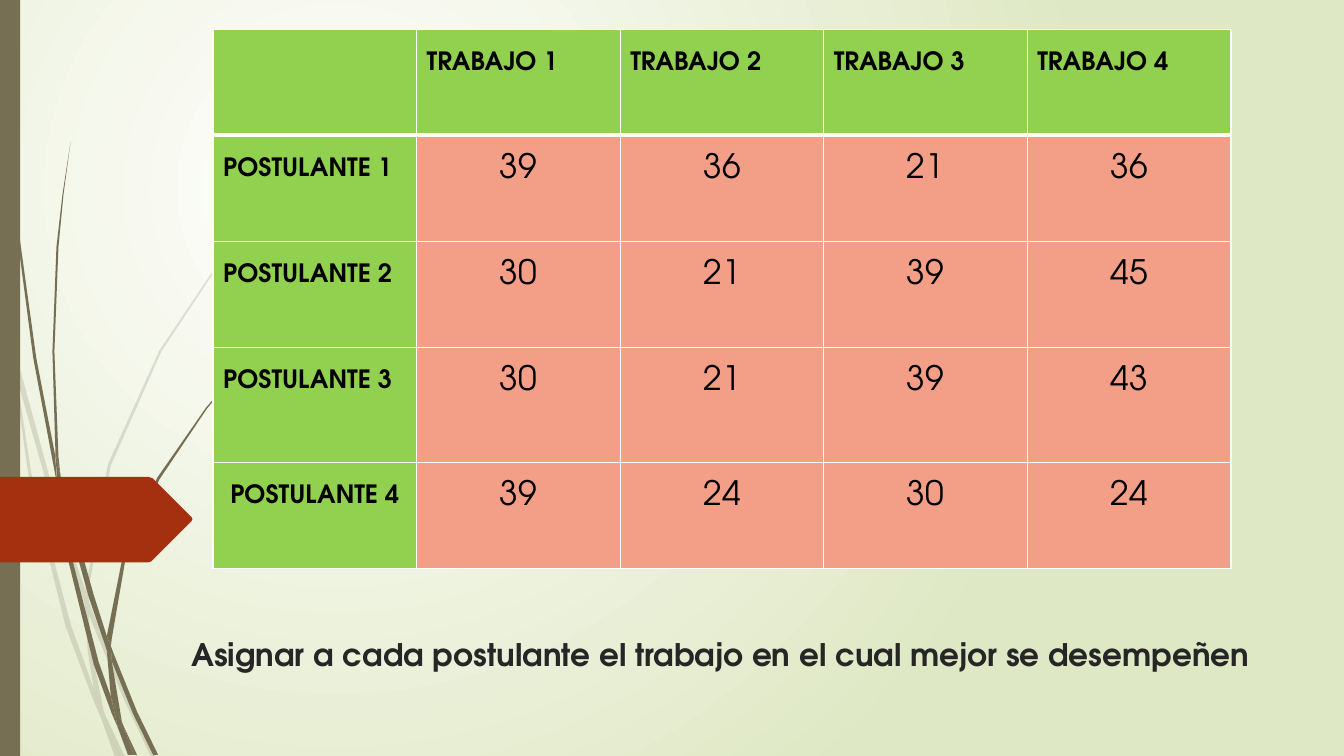
import dataclasses

import lxml.etree
import pptx
import pptx.dml.color
import pptx.enum.shapes
import pptx.enum.text
import pptx.oxml.ns
import pptx.util

Cm = pptx.util.Cm
Pt = pptx.util.Pt
qn = pptx.oxml.ns.qn


@dataclasses.dataclass
class Theme:
    font: str = "TeX Gyre Adventor"
    glow: str = "FFFFFF"
    field: str = "DFE8C4"
    stem: str = "766F54"
    tag: str = "A53010"
    head: str = "92D050"
    body: str = "F39E87"
    rule: str = "FFFFFF"
    ink: str = "000000"
    soft: str = "262626"
    label: float = 18
    score: float = 24
    note: float = 22.2


def color(code):
    return pptx.dml.color.RGBColor.from_string(code)


class Deck:
    def __init__(self, theme):
        self.theme = theme
        self.show = pptx.Presentation()
        self.show.slide_width = Cm(33.87)
        self.show.slide_height = Cm(19.05)
        self.slide = self.show.slides.add_slide(self.show.slide_layouts[6])

    def ground(self):
        """Round glow, centred in the upper left quarter."""
        fill = self.slide.background.fill
        fill.gradient()
        for stop, code in zip(fill.gradient_stops, (self.theme.glow, self.theme.field)):
            stop.color.rgb = color(code)
        grad = self.slide.element.find(".//" + qn("a:gradFill"))
        grad.remove(grad.find(qn("a:lin")))
        ring = lxml.etree.SubElement(grad, qn("a:path"), path="circle")
        lxml.etree.SubElement(ring, qn("a:fillToRect"),
                              l="50000", t="50000", r="100000", b="100000")

    def paint(self, shape, code, alpha=100):
        shape.shadow.inherit = False
        shape.fill.solid()
        shape.fill.fore_color.rgb = color(code)
        shape.line.fill.background()
        if alpha < 100:
            tint = shape.element.spPr.find(".//" + qn("a:srgbClr"))
            lxml.etree.SubElement(tint, qn("a:alpha"), val=str(alpha * 1000))

    def outline(self, flat, code, alpha=100):
        """Closed outline; flat holds x, y pairs in units of 0.0254 cm."""
        dots = list(zip(flat[::2], flat[1::2]))
        form = self.slide.shapes.build_freeform(*dots[0], scale=Cm(0.0254))
        form.add_line_segments(dots[1:], close=True)
        self.paint(form.convert_to_shape(), code, alpha)

    def bar(self, left, top, width, height, code):
        shape = self.slide.shapes.add_shape(
            pptx.enum.shapes.MSO_SHAPE.RECTANGLE,
            Cm(left), Cm(top), Cm(width), Cm(height))
        self.paint(shape, code)

    def letter(self, para, text, size, code, bold, align):
        para.text = text
        para.alignment = align
        font = para.font
        font.name, font.size, font.bold = self.theme.font, Pt(size), bold
        font.color.rgb = color(code)

    def border(self, cell, sides):
        prop = cell._tc.get_or_add_tcPr()
        for side, width in sides.items():
            line = lxml.etree.SubElement(prop, qn("a:ln" + side), w=str(Pt(width)))
            fill = lxml.etree.SubElement(line, qn("a:solidFill"))
            lxml.etree.SubElement(fill, qn("a:srgbClr"), val=self.theme.rule)

    def grid(self, left, top, width, highs, rows):
        look, align = self.theme, pptx.enum.text.PP_ALIGN
        frame = self.slide.shapes.add_table(
            len(rows), len(rows[0]), Cm(left), Cm(top),
            Cm(width * len(rows[0])), Cm(sum(highs)))
        table = frame.table
        table.horz_banding = False
        for column in table.columns:
            column.width = Cm(width)
        for r, (high, row) in enumerate(zip(highs, rows)):
            table.rows[r].height = Cm(high)
            for c, text in enumerate(row):
                cell = table.cell(r, c)
                label = r == 0 or c == 0
                self.border(cell, {"L": 1, "R": 1, "T": 3 if r == 1 else 1,
                                   "B": 3 if r == 0 else 1})
                cell.fill.solid()
                cell.fill.fore_color.rgb = color(look.head if label else look.body)
                cell.margin_top = Cm(0.56 if label else 0.46)
                if text:
                    # The last label is centred, like the scores
                    mid = not label or r == len(rows) - 1
                    self.letter(cell.text_frame.paragraphs[0], text,
                                look.label if label else look.score, look.ink,
                                label, align.CENTER if mid else align.LEFT)

    def note(self, left, top, width, height, text):
        box = self.slide.shapes.add_textbox(Cm(left), Cm(top), Cm(width), Cm(height))
        box.text_frame.word_wrap = True
        self.letter(box.text_frame.paragraphs[0], text, self.theme.note,
                    self.theme.soft, True, pptx.enum.text.PP_ALIGN.JUSTIFY)


# Grass blades, as x, y pairs
PALE = [
    (11, 350, 9, 322, 0, 282, 0, 299, 10, 344),
    (58, 522, 84, 599, 85, 586, 62, 520, 14, 345, 17, 376),
    (92, 607, 88, 596, 88, 610, 123, 694, 150, 751, 155, 751, 127, 692),
    (119, 751, 124, 751, 105, 711),
    (93, 683, 70, 619, 31, 469, 17, 376, 11, 350, 28, 470, 65, 621, 92, 693,
     101, 714, 99, 707),
    (84, 599, 87, 646, 93, 683, 96, 692, 105, 711, 103, 706, 91, 646, 88, 610,
     88, 608),
    (88, 584, 110, 462, 160, 349, 229, 245, 268, 198, 290, 175, 312, 154,
     312, 153, 289, 175, 268, 197, 228, 244, 158, 348, 107, 461, 85, 584,
     85, 586, 88, 596),
    (101, 714, 114, 751, 119, 751),
    (88, 608, 88, 610, 88, 596, 85, 586, 84, 599),
    (96, 692, 93, 683, 99, 707, 101, 714, 119, 751, 105, 711),
]
DARK = [
    (7, 110, 17, 233, 33, 355, 56, 477, 57, 481, 55, 457, 55, 453, 36, 355,
     19, 232, 8, 109, 5, 48, 4, 0, 3, 0, 4, 48),
    (88, 592, 106, 645, 106, 633, 106, 631, 93, 590, 60, 472, 64, 505),
    (113, 649, 110, 641, 111, 656, 132, 708, 152, 749, 157, 749, 136, 706),
    (110, 691, 98, 657, 72, 556, 64, 505, 57, 477, 68, 557, 93, 659, 111, 708,
     117, 722, 116, 717),
    (60, 472, 58, 453, 54, 349, 58, 245, 63, 193, 70, 141, 62, 193, 56, 245,
     52, 349, 55, 449),
    (133, 749, 136, 749, 122, 719),
    (57, 477, 64, 505, 60, 472, 55, 449, 55, 453),
    (111, 633, 125, 552, 158, 476, 205, 406, 231, 374, 245, 359, 261, 344,
     260, 344, 245, 358, 231, 373, 204, 405, 156, 474, 122, 551, 106, 631,
     110, 641),
    (117, 722, 127, 749, 131, 749),
    (106, 645, 110, 691, 116, 706, 122, 719, 121, 716, 111, 656, 109, 651),
    (106, 645, 109, 651, 111, 656, 110, 641, 106, 631, 106, 633),
    (116, 706, 110, 691, 116, 717, 117, 722, 130, 749, 133, 749, 122, 719),
]
TAG = (147, 558, 150, 557, 151, 556, 190, 517, 191, 515, 190, 513, 151, 474,
       150, 474, 147, 473, 0, 473, 0, 558)

SCORES = [
    (39, 36, 21, 36),
    (30, 21, 39, 45),
    (30, 21, 39, 43),
    (39, 24, 30, 24),
]


def main():
    theme = Theme()
    deck = Deck(theme)

    # Backdrop
    deck.ground()
    for blades, alpha in ((PALE, 20), (DARK, 100)):
        for blade in blades:
            deck.outline(blade, theme.stem, alpha)
    deck.bar(0, 0, 0.51, 19.05, theme.stem)
    deck.outline(TAG, theme.tag)

    # Score table
    rows = [[""] + [f"TRABAJO {n}" for n in range(1, 5)]]
    for n, scores in enumerate(SCORES, 1):
        rows.append([f"POSTULANTE {n}"] + [str(score) for score in scores])
    deck.grid(5.37, 0.74, 5.13, (2.67, 2.67, 2.67, 2.9, 2.67), rows)

    # Task
    deck.note(4.57, 15.88, 27.25, 1.78,
              "Asignar a cada postulante el trabajo en el cual mejor se desempeñen")

    deck.show.save("out.pptx")


if __name__ == "__main__":
    main()
